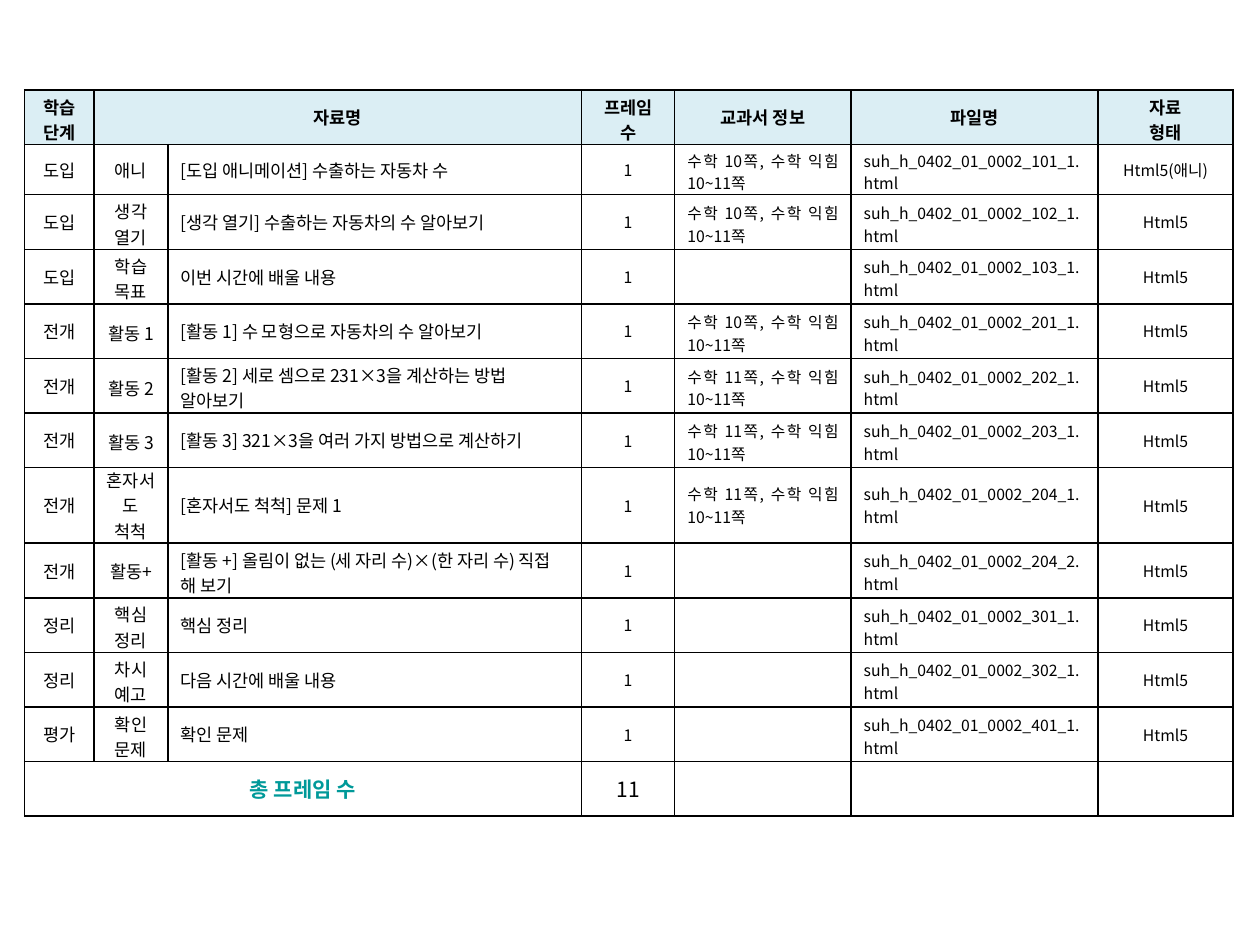
"""Builds a lesson slide that lists the materials of each learning stage in a table."""
from lxml import etree
from pptx import Presentation
from pptx.dml.color import RGBColor
from pptx.enum.text import MSO_ANCHOR, PP_ALIGN
from pptx.oxml.ns import qn
from pptx.util import Pt

CENTER, LEFT, JUSTIFY = PP_ALIGN.CENTER, PP_ALIGN.LEFT, PP_ALIGN.JUSTIFY
MIDDLE = MSO_ANCHOR.MIDDLE
FONT = "Noto Sans CJK KR"
BLACK, TEAL, PALE_BLUE = "000000", "009999", "DBEEF4"

HEADER = ["학습 단계", "자료명", "", "프레임 수", "교과서 정보", "파일명", "자료\n형태"]
LESSON = [
    ("도입", "애니", "[도입 애니메이션] 수출하는 자동차 수", "10", "101_1", "Html5(애니)"),
    ("도입", "생각 열기", "[생각 열기] 수출하는 자동차의 수 알아보기", "10", "102_1", "Html5"),
    ("도입", "학습 목표", "이번 시간에 배울 내용", "", "103_1", "Html5"),
    ("전개", "활동 1", "[활동 1] 수 모형으로 자동차의 수 알아보기", "10", "201_1", "Html5"),
    ("전개", "활동 2", "[활동 2] 세로 셈으로 231×3을 계산하는 방법 알아보기", "11", "202_1", "Html5"),
    ("전개", "활동 3", "[활동 3] 321×3을 여러 가지 방법으로 계산하기", "11", "203_1", "Html5"),
    ("전개", "혼자서도 척척", "[혼자서도 척척] 문제 1", "11", "204_1", "Html5"),
    ("전개", "활동+", "[활동 +] 올림이 없는 (세 자리 수)×(한 자리 수) 직접 해 보기", "", "204_2", "Html5"),
    ("정리", "핵심 정리", "핵심 정리", "", "301_1", "Html5"),
    ("정리", "차시 예고", "다음 시간에 배울 내용", "", "302_1", "Html5"),
    ("평가", "확인 문제", "확인 문제", "", "401_1", "Html5"),
]
TOTAL = ["총 프레임 수", "", "", str(len(LESSON)), "", "", ""]

COLUMN_WIDTHS = [39.6, 42.5, 236.2, 53.3, 100.8, 141.1, 77.2]
LINE_LIMITS = [3, 3, 30, 4, 8, 15, 12]
SIDE_MARGINS = [7.2, 7.2, 7.2, 9, 7.2, 7.2, 7.2]
ROW_HEIGHT = 31.2
TALL_ROW = 7
SPECIAL_HEIGHTS = {1: 28.6, TALL_ROW: 43.1}
TABLE_LEFT, TABLE_TOP = 14, 51.5
BODY_SIZES = [10, 10, 10, 9, 9, 9, 9]
BODY_ALIGNMENTS = [CENTER, CENTER, LEFT, CENTER, JUSTIFY, JUSTIFY, CENTER]


def color(value):
    return RGBColor.from_string(value)


def lesson_row(stage, step, title, textbook, file_code, kind):
    pages = f"수학 {textbook}쪽, 수학 익힘 10~11쪽" if textbook else ""
    return [stage, step, title, "1", pages, f"suh_h_0402_01_0002_{file_code}.html", kind]


def add_borders(cell):
    properties = cell._tc.get_or_add_tcPr()
    for side in ("a:lnL", "a:lnR", "a:lnT", "a:lnB"):
        line = etree.SubElement(properties, qn(side), w=str(Pt(1)))
        fill = etree.SubElement(line, qn("a:solidFill"))
        etree.SubElement(fill, qn("a:srgbClr"), val=BLACK)


def cell_margins(text, row, column, last_row):
    """Give wrapped cells tight margins so that their rows keep their height."""
    wrapped = "\n" in text or len(text) > LINE_LIMITS[column]
    if row == TALL_ROW:
        top, bottom = 0, 0
    elif wrapped and row != last_row:
        top, bottom = 2.2, 0
    else:
        top, bottom = 3.6, 3.6
    side = SIDE_MARGINS[column]
    return {"margin_left": Pt(side), "margin_right": Pt(side),
            "margin_top": Pt(top), "margin_bottom": Pt(bottom)}


def write_cell(cell, text, margins, size, alignment, bold=False, ink=BLACK, fill=None):
    add_borders(cell)
    if fill:
        cell.fill.solid()
        cell.fill.fore_color.rgb = color(fill)
    else:
        cell.fill.background()
    for name, value in {"vertical_anchor": MIDDLE, **margins}.items():
        setattr(cell, name, value)
    cell.text_frame.text = text
    for para in cell.text_frame.paragraphs:
        para.alignment = alignment
        span = para.runs[0] if para.runs else para.add_run()
        for name, value in {"size": Pt(size), "bold": bold, "name": FONT}.items():
            setattr(span.font, name, value)
        span.font.color.rgb = color(ink)
        etree.SubElement(span._r.get_or_add_rPr(), qn("a:ea"), typeface=FONT)


def cell_format(row, column, last_row):
    if row == 0:
        return {"size": 10, "alignment": CENTER, "bold": True, "fill": PALE_BLUE}
    if row == last_row and column == 0:
        return {"size": 12, "alignment": CENTER, "bold": True, "ink": TEAL}
    if row == last_row and column == 3:
        return {"size": 12, "alignment": CENTER}
    return {"size": BODY_SIZES[column], "alignment": BODY_ALIGNMENTS[column]}


def add_lesson_table(page):
    rows = [HEADER, *(lesson_row(*entry) for entry in LESSON), TOTAL]
    last_row = len(rows) - 1
    heights = [SPECIAL_HEIGHTS.get(index, ROW_HEIGHT) for index in range(len(rows))]
    table = page.shapes.add_table(
        len(rows), len(COLUMN_WIDTHS), Pt(TABLE_LEFT), Pt(TABLE_TOP),
        Pt(sum(COLUMN_WIDTHS)), Pt(sum(heights))).table
    table.first_row = table.horz_banding = False
    for column, width in zip(table.columns, COLUMN_WIDTHS):
        column.width = Pt(width)
    for row, height in zip(table.rows, heights):
        row.height = Pt(height)
    for row, texts in enumerate(rows):
        for column, text in enumerate(texts):
            margins = cell_margins(text, row, column, last_row)
            write_cell(table.cell(row, column), text, margins,
                       **cell_format(row, column, last_row))
    table.cell(0, 1).merge(table.cell(0, 2))
    table.cell(last_row, 0).merge(table.cell(last_row, 2))


def main():
    deck = Presentation()
    deck.slide_width, deck.slide_height = Pt(720), Pt(540)
    page = deck.slides.add_slide(deck.slide_layouts[6])
    add_lesson_table(page)
    deck.save("out.pptx")


if __name__ == "__main__":
    main()
